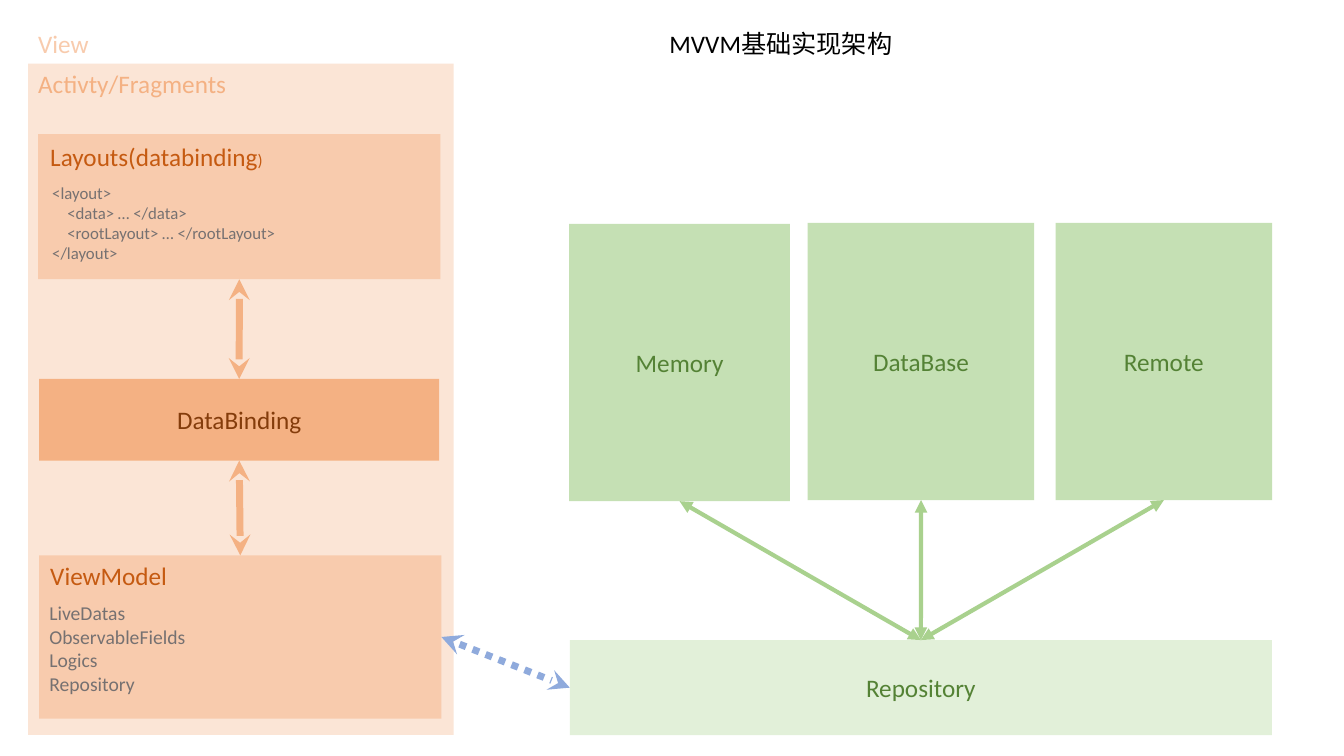
"""Builds a one-slide diagram of a basic MVVM architecture."""
from dataclasses import dataclass

from lxml import etree
from pptx import Presentation
from pptx.dml.color import RGBColor
from pptx.enum.dml import MSO_LINE
from pptx.enum.shapes import MSO_CONNECTOR, MSO_SHAPE
from pptx.enum.text import MSO_ANCHOR, MSO_AUTO_SIZE, PP_ALIGN
from pptx.oxml.ns import qn
from pptx.util import Pt

RECT = MSO_SHAPE.RECTANGLE
STRAIGHT = MSO_CONNECTOR.STRAIGHT
DOTTED = MSO_LINE.ROUND_DOT
LEFT, CENTER = PP_ALIGN.LEFT, PP_ALIGN.CENTER
TOP, MIDDLE = MSO_ANCHOR.TOP, MSO_ANCHOR.MIDDLE
FIXED = MSO_AUTO_SIZE.NONE
TOP_SIDE, LEFT_SIDE, BOTTOM_SIDE, RIGHT_SIDE = range(4)
FONT = "Calibri"


@dataclass
class Box:
    name: str
    left: float
    top: float
    width: float
    height: float
    fill: str
    text: str = ""
    color: str = "548235"


@dataclass
class Label:
    text: str
    left: float
    top: float
    width: float
    height: float
    color: str
    size: float = 18


@dataclass
class Arrow:
    start: str
    start_side: int
    end: str
    end_side: int
    color: str
    width: float
    head: str
    dotted: bool = False


BOXES = [
    Box("view", 20.16, 45.5, 304, 479.5, "FBE5D6"),
    Box("layouts", 27.3, 95.8, 287.3, 103.7, "F8CBAD"),
    Box("viewmodel", 28, 396.7, 287.3, 116.6, "F8CBAD"),
    Box("databinding", 28, 270.7, 285.8, 58.3, "F4B183", "DataBinding", "843C0B"),
    Box("repository", 407, 457.2, 501.6, 68, "E2F0D9", "Repository"),
    Box("memory", 406.6, 160, 157.7, 198, "C5E0B4", "Memory"),
    Box("database", 577, 159.2, 161.8, 198, "C5E0B4", "DataBase"),
    Box("remote", 754, 159.2, 154.7, 198, "C5E0B4", "Remote"),
]

LABELS = [
    Label("View", 20.16, 16.6, 119.5, 29, "F8CBAD"),
    Label("Activty/Fragments", 20.16, 45.5, 160, 29, "F4B183"),
    Label("ViewModel", 28.8, 396.7, 111.6, 29, "C55A11"),
    Label("<layout>\n    <data> … </data>\n    <rootLayout> … </rootLayout>\n</layout>",
          30.2, 126.8, 229, 65.5, "767171", 12),
]
LAYOUTS = Label("Layouts(databinding", 28.8, 97.2, 168.5, 29, "C55A11")
TITLE = Label("MVVM基础实现架构", 470.9, 16.6, 175.7, 29, "000000")
MEMBERS = Label("LiveDatas\nObservableFields\nLogics\nRepository",
                28, 425.6, 125, 75, "767171", 14)

ARROWS = [
    Arrow("databinding", TOP_SIDE, "layouts", BOTTOM_SIDE, "F4B183", 5, "stealth"),
    Arrow("viewmodel", TOP_SIDE, "databinding", BOTTOM_SIDE, "F4B183", 5, "stealth"),
    Arrow("viewmodel", RIGHT_SIDE, "repository", LEFT_SIDE, "8FAADC", 5, "stealth", True),
] + [
    Arrow("repository", TOP_SIDE, store, BOTTOM_SIDE, "A9D18E", 3, "triangle")
    for store in ("memory", "database", "remote")
]


def rgb(color: str) -> RGBColor:
    """Turn a hex string into a colour."""
    return RGBColor.from_string(color)


def style_run(r, size: float, color: str) -> None:
    """Set font, size and colour of a run."""
    r.font.name = FONT
    r.font.size = Pt(size)
    r.font.color.rgb = rgb(color)


def write(tf, text: str, size: float, color: str, align, anchor) -> None:
    """Fill a text frame with evenly formatted paragraphs."""
    tf.text = text
    tf.word_wrap = True
    tf.auto_size = FIXED
    tf.vertical_anchor = anchor
    for p in tf.paragraphs:
        p.alignment = align
        p.space_before = Pt(0)
        for r in p.runs:
            style_run(r, size, color)


def add_box(s, box: Box):
    """Draw a filled rectangle with an optional centred caption."""
    sp = s.shapes.add_shape(RECT, Pt(box.left), Pt(box.top), Pt(box.width), Pt(box.height))
    sp.shadow.inherit = False
    sp.fill.solid()
    sp.fill.fore_color.rgb = rgb(box.fill)
    sp.line.fill.background()
    if box.text:
        write(sp.text_frame, box.text, 18, box.color, CENTER, MIDDLE)
    return sp


def place_label(sp, label: Label) -> None:
    """Move a text shape into place and write its label."""
    sp.left, sp.top = Pt(label.left), Pt(label.top)
    sp.width, sp.height = Pt(label.width), Pt(label.height)
    write(sp.text_frame, label.text, label.size, label.color, LEFT, TOP)


def add_label(s, label: Label):
    """Add a text box for a label."""
    sp = s.shapes.add_textbox(0, 0, 0, 0)
    place_label(sp, label)
    return sp


def place_list(sp, label: Label) -> None:
    """Bring the body placeholder to the front as a list without bullets."""
    sp.element.getparent().append(sp.element)
    place_label(sp, label)
    for p in sp.text_frame.paragraphs:
        pPr = p._p.get_or_add_pPr()
        pPr.set("marL", "0")
        pPr.set("indent", "0")
        etree.SubElement(pPr, qn("a:buNone"))


def add_arrow(s, arrow: Arrow, shapes: dict) -> None:
    """Join two boxes with a double-headed arrow."""
    cxn = s.shapes.add_connector(STRAIGHT, 0, 0, 0, 0)
    cxn.begin_connect(shapes[arrow.start], arrow.start_side)
    cxn.end_connect(shapes[arrow.end], arrow.end_side)
    cxn.line.color.rgb = rgb(arrow.color)
    cxn.line.width = Pt(arrow.width)
    if arrow.dotted:
        cxn.line.dash_style = DOTTED
    spPr = cxn.element.spPr
    ln = spPr.find(qn("a:ln"))
    for tag in ("a:headEnd", "a:tailEnd"):
        etree.SubElement(ln, qn(tag), type=arrow.head)
    etree.SubElement(spPr, qn("a:effectLst"))


def main() -> None:
    """Build and save the slide."""
    prs = Presentation()
    prs.slide_width, prs.slide_height = Pt(960), Pt(540)
    s = prs.slides.add_slide(prs.slide_layouts[1])
    place_label(s.shapes.title, TITLE)
    shapes = {box.name: add_box(s, box) for box in BOXES}
    for label in LABELS:
        add_label(s, label)
    r = add_label(s, LAYOUTS).text_frame.paragraphs[0].add_run()
    r.text = ")"
    style_run(r, 12, LAYOUTS.color)
    place_list(s.placeholders[1], MEMBERS)
    for arrow in ARROWS:
        add_arrow(s, arrow, shapes)
    prs.save("out.pptx")


if __name__ == "__main__":
    main()
